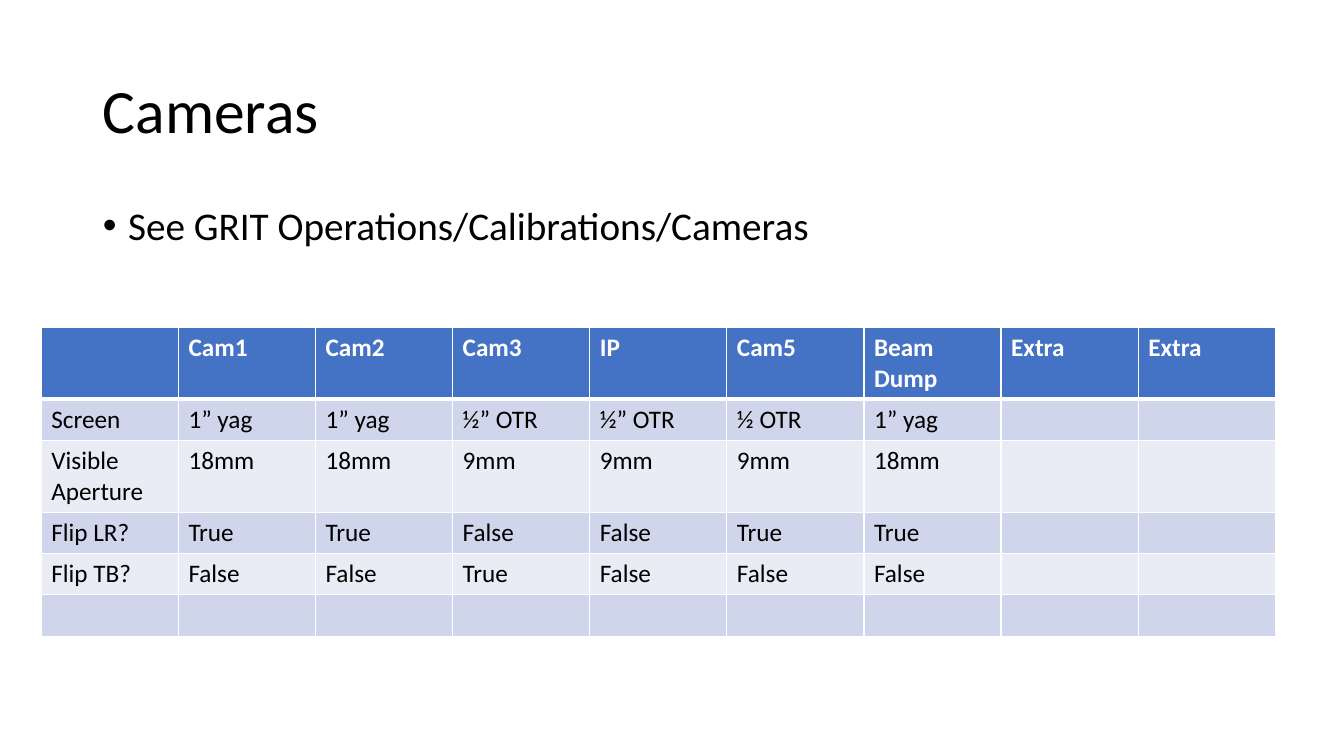
from lxml.etree import SubElement
from pptx import Presentation
from pptx.dml.color import RGBColor
from pptx.enum.text import MSO_ANCHOR as Anchor, MSO_AUTO_SIZE as AutoSize, PP_ALIGN as Align
from pptx.oxml.ns import qn
from pptx.util import Inches, Pt

BLACK = RGBColor(0x00, 0x00, 0x00)
WHITE = RGBColor(0xFF, 0xFF, 0xFF)
HEADER_BLUE = RGBColor(0x44, 0x72, 0xC4)
BANDS = (RGBColor(0xE9, 0xEB, 0xF5), RGBColor(0xCF, 0xD5, 0xEA))

CAMERA_ROWS = [
    ["", "Cam1", "Cam2", "Cam3", "IP", "Cam5", "Beam Dump", "Extra", "Extra"],
    ["Screen", "1” yag", "1” yag", "½” OTR", "½” OTR", "½ OTR", "1” yag", "", ""],
    ["Visible Aperture", "18mm", "18mm", "9mm", "9mm", "9mm", "18mm", "", ""],
    ["Flip LR?", "True", "True", "False", "False", "True", "True", "", ""],
    ["Flip TB?", "False", "False", "True", "False", "False", "False", "", ""],
    [""] * 9,
]


class SlideBuilder:
    font = "Calibri"

    def __init__(self, slide):
        self.slide = slide

    def format_runs(self, paragraph, size, color=BLACK, bold=False):
        for run in paragraph.runs:
            run.font.name = self.font
            run.font.size = Pt(size)
            run.font.bold = bold
            run.font.color.rgb = color

    def fill_placeholder(self, shape, box, text, size, anchor):
        shape.left, shape.top, shape.width, shape.height = map(Inches, box)
        text_frame = shape.text_frame
        text_frame.text = text
        text_frame.word_wrap = True
        text_frame.auto_size = AutoSize.NONE
        text_frame.vertical_anchor = anchor
        paragraph = text_frame.paragraphs[0]
        paragraph.alignment = Align.LEFT
        paragraph.line_spacing = 0.9
        self.format_runs(paragraph, size)
        return paragraph

    def title(self, text, box):
        self.fill_placeholder(self.slide.shapes.title, box, text, 44, Anchor.MIDDLE)

    def bullet(self, text, box):
        paragraph = self.fill_placeholder(
            self.slide.placeholders[1], box, text, 28, Anchor.TOP)
        paragraph.space_before = Pt(10)
        properties = paragraph._p.get_or_add_pPr()
        properties.set("marL", str(Inches(0.25)))
        properties.set("indent", str(-Inches(0.25)))
        SubElement(properties, qn("a:buFont"), typeface="Arial")
        SubElement(properties, qn("a:buChar"), char="•")

    def border(self, cell, side, width):
        line = SubElement(cell._tc.get_or_add_tcPr(), qn(f"a:ln{side}"), w=str(Pt(width)))
        fill = SubElement(line, qn("a:solidFill"))
        SubElement(fill, qn("a:srgbClr"), val=str(WHITE))

    def table(self, rows, left, top, column_width, row_height):
        row_count, column_count = len(rows), len(rows[0])
        table = self.slide.shapes.add_table(
            row_count, column_count, Inches(left), Inches(top),
            Inches(column_width * column_count), Inches(row_height * row_count)).table
        for row_index, row in enumerate(rows):
            is_header = row_index == 0
            for column_index, text in enumerate(row):
                cell = table.cell(row_index, column_index)
                cell.text_frame.text = text
                self.format_runs(cell.text_frame.paragraphs[0], 18,
                                 WHITE if is_header else BLACK, is_header)
                for side in "LRTB":
                    heavy = (is_header and side == "B") or (row_index == 1 and side == "T")
                    self.border(cell, side, 3 if heavy else 1)
                cell.fill.solid()
                cell.fill.fore_color.rgb = HEADER_BLUE if is_header else BANDS[row_index % 2]


def main():
    presentation = Presentation()
    presentation.slide_width = Inches(13.33)
    presentation.slide_height = Inches(7.5)
    builder = SlideBuilder(presentation.slides.add_slide(presentation.slide_layouts[1]))
    builder.title("Cameras", (0.92, 0.4, 11.5, 1.45))
    builder.table(CAMERA_ROWS, 0.41, 3.25, 1.36, 0.41)
    builder.bullet("See GRIT Operations/Calibrations/Cameras", (0.92, 2, 11.27, 1.15))
    presentation.save("out.pptx")


if __name__ == "__main__":
    main()
